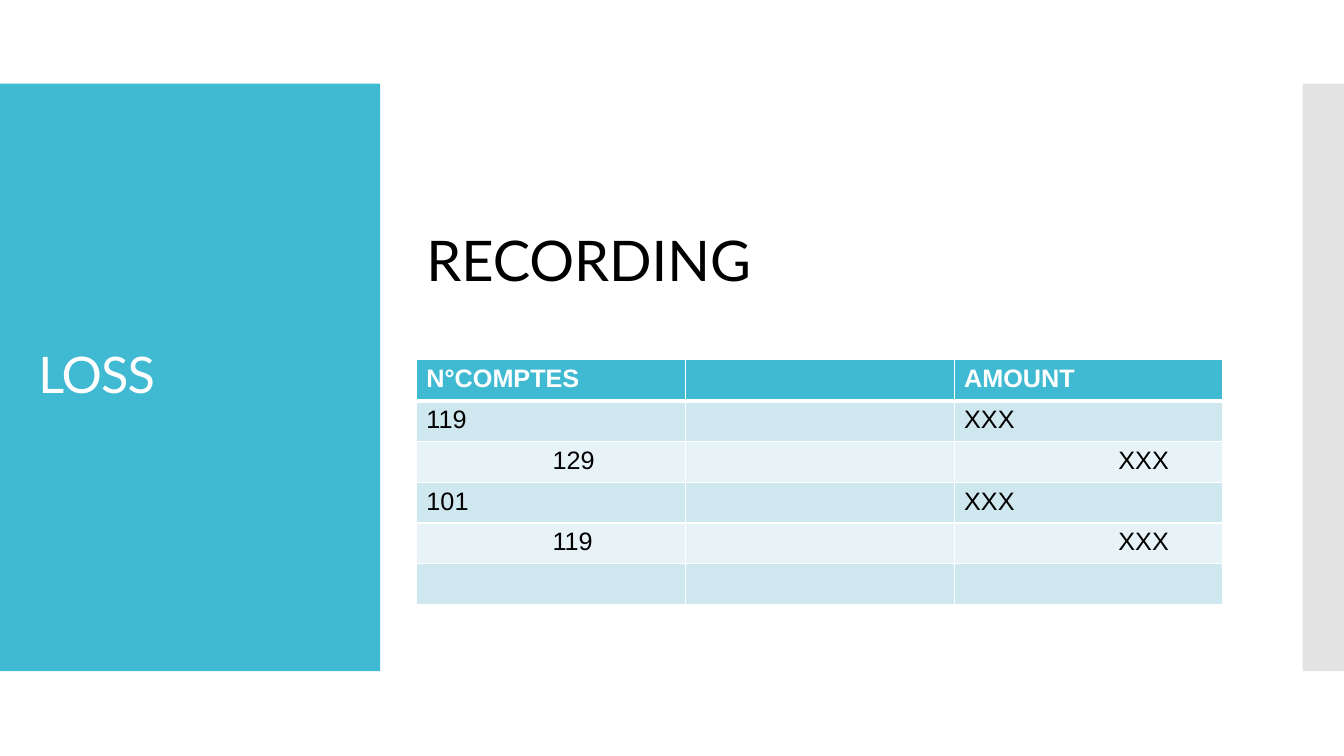
"""Builds the LOSS slide with its table of recording entries."""
from dataclasses import dataclass

from lxml import etree
from pptx import Presentation
from pptx.dml.color import RGBColor
from pptx.enum.shapes import MSO_SHAPE
from pptx.enum.text import MSO_ANCHOR, MSO_AUTO_SIZE, PP_ALIGN
from pptx.oxml.ns import qn
from pptx.slide import Slide
from pptx.table import _Cell as Cell
from pptx.text.text import _Paragraph as Paragraph
from pptx.util import Inches, Pt

RECTANGLE = MSO_SHAPE.RECTANGLE
MIDDLE = MSO_ANCHOR.MIDDLE
TOP = MSO_ANCHOR.TOP
NO_AUTOFIT = MSO_AUTO_SIZE.NONE
GROW = MSO_AUTO_SIZE.SHAPE_TO_FIT_TEXT
LEFT = PP_ALIGN.LEFT

TEAL = RGBColor(0x40, 0xBA, 0xD2)
GREY = RGBColor(0xC8, 0xC8, 0xC8)
WHITE = RGBColor(0xFF, 0xFF, 0xFF)
BLACK = RGBColor(0x00, 0x00, 0x00)
BAND_DARK = RGBColor(0xCF, 0xE7, 0xEE)
BAND_LIGHT = RGBColor(0xE8, 0xF3, 0xF7)

CELL_MARGIN = 0.1
ACCOUNT_INDENT = 1.35
AMOUNT_INDENT = 1.63
COLUMN_COUNT = 3


@dataclass(frozen=True)
class Panel:
    left: float
    width: float
    color: RGBColor
    opacity: int = 100


@dataclass(frozen=True)
class Entry:
    account: str = ""
    amount: str = ""
    credit: bool = False


PANELS = [Panel(0, 3.77, TEAL), Panel(12.92, 0.41, GREY, 50)]
ENTRIES = [
    Entry("N°COMPTES", "AMOUNT"),
    Entry("119", "XXX"),
    Entry("129", "XXX", credit=True),
    Entry("101", "XXX"),
    Entry("119", "XXX", credit=True),
    Entry(),
]


def format_text(paragraph: Paragraph, font_name: str, size: float,
                color: RGBColor, bold: bool = False) -> None:
    """Left-align a paragraph and format its runs."""
    paragraph.alignment = LEFT
    for font in [paragraph.font, *(run.font for run in paragraph.runs)]:
        font.name = font_name
        font.size = Pt(size)
        font.bold = bold
        font.color.rgb = color


def draw_panel(slide: Slide, panel: Panel) -> None:
    """Draw one vertical side panel."""
    side = slide.shapes.add_shape(RECTANGLE, Inches(panel.left), Inches(0.83),
                                  Inches(panel.width), Inches(5.83))
    side.shadow.inherit = False
    side.fill.solid()
    side.fill.fore_color.rgb = panel.color
    side.line.fill.background()
    if panel.opacity < 100:
        color = side.element.spPr.find(qn("a:solidFill")).find(qn("a:srgbClr"))
        etree.SubElement(color, qn("a:alpha"), val=str(panel.opacity * 1000))


def draw_title(slide: Slide) -> None:
    """Place the title over the teal panel."""
    title = slide.shapes.title
    title.element.getparent().append(title.element)
    title.left, title.top = Inches(0.28), Inches(1.23)
    title.width, title.height = Inches(3.22), Inches(5.03)
    frame = title.text_frame
    frame.text = "LOSS"
    frame.word_wrap = True
    frame.auto_size = NO_AUTOFIT
    frame.vertical_anchor = MIDDLE
    paragraph = frame.paragraphs[0]
    paragraph.line_spacing = 0.9
    format_text(paragraph, "Lato", 36, WHITE)
    paragraph.runs[0].font._element.set("spc", "-60")


def draw_heading(slide: Slide) -> None:
    """Write the heading above the table."""
    heading = slide.shapes.add_textbox(Inches(4.13), Inches(2.19),
                                       Inches(8), Inches(0.77))
    frame = heading.text_frame
    frame.text = "RECORDING"
    frame.word_wrap = True
    frame.auto_size = GROW
    format_text(frame.paragraphs[0], "Lato", 40, BLACK)


def set_borders(cell: Cell, top: float, bottom: float) -> None:
    """Give a cell white borders."""
    properties = cell._tc.get_or_add_tcPr()
    for side, width in (("L", 1), ("R", 1), ("T", top), ("B", bottom)):
        line = etree.SubElement(properties, qn(f"a:ln{side}"), w=str(Pt(width)))
        fill = etree.SubElement(line, qn("a:solidFill"))
        etree.SubElement(fill, qn("a:srgbClr"), val=str(WHITE))


def draw_entries(slide: Slide) -> None:
    """Draw the table of accounts and amounts."""
    table = slide.shapes.add_table(len(ENTRIES), COLUMN_COUNT, Inches(4.13),
                                   Inches(3.57), Inches(8), Inches(2.43)).table
    for row, entry in enumerate(ENTRIES):
        header = row == 0
        band = TEAL if header else BAND_DARK if row % 2 else BAND_LIGHT
        texts = (entry.account, "", entry.amount)
        indents = (ACCOUNT_INDENT, CELL_MARGIN, AMOUNT_INDENT)
        for column, (text, indent) in enumerate(zip(texts, indents)):
            cell = table.cell(row, column)
            set_borders(cell, 3 if row == 1 else 1, 3 if header else 1)
            cell.fill.solid()
            cell.fill.fore_color.rgb = band
            cell.vertical_anchor = TOP
            cell.margin_left = Inches(indent if entry.credit else CELL_MARGIN)
            cell.text_frame.text = text
            format_text(cell.text_frame.paragraphs[0], "Arial", 18,
                        WHITE if header else BLACK, header)


def main() -> None:
    """Build and save the slide."""
    presentation = Presentation()
    presentation.slide_width = Inches(13.33)
    presentation.slide_height = Inches(7.5)
    slide = presentation.slides.add_slide(presentation.slide_layouts[5])
    for panel in PANELS:
        draw_panel(slide, panel)
    draw_title(slide)
    draw_entries(slide)
    draw_heading(slide)
    presentation.save("out.pptx")


if __name__ == "__main__":
    main()
